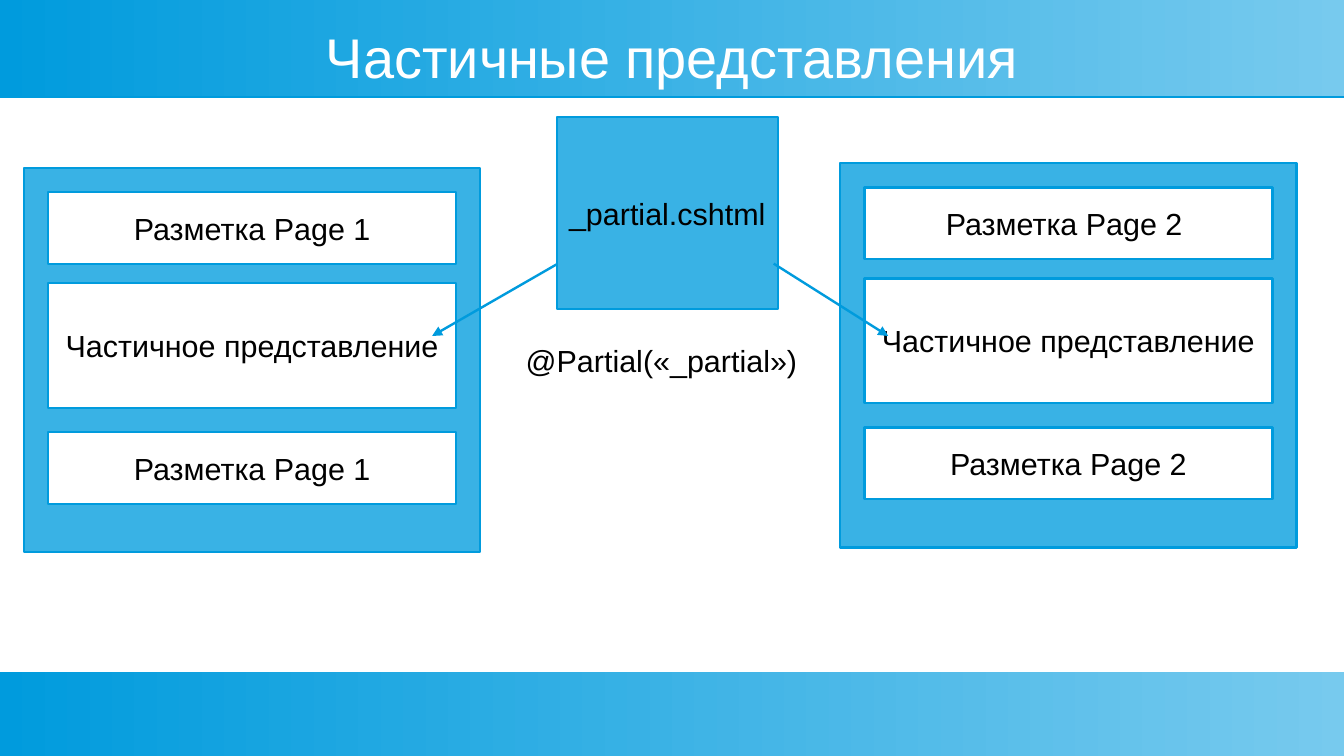
from dataclasses import dataclass

from lxml.etree import SubElement
from pptx import Presentation
from pptx.dml.color import RGBColor as RGB
from pptx.enum.shapes import MSO_CONNECTOR as CONN, MSO_SHAPE as SHAPE
from pptx.enum.text import MSO_ANCHOR as ANCHOR, MSO_AUTO_SIZE as AUTO, PP_ALIGN as ALIGN
from pptx.oxml.ns import qn
from pptx.util import Pt


@dataclass(frozen=True)
class Theme:
    font: str = "Arial"
    title_size: int = 33
    body_size: int = 18
    line_width: float = 1.42
    accent: RGB = RGB(0x00, 0x9B, 0xDD)
    panel: RGB = RGB(0x39, 0xB2, 0xE5)
    light: RGB = RGB(0x77, 0xCA, 0xEE)
    white: RGB = RGB(0xFF, 0xFF, 0xFF)
    black: RGB = RGB(0x00, 0x00, 0x00)


theme = Theme()


def write(tf, text, size, color, align):
    tf.text = text
    p = tf.paragraphs[0]
    p.alignment = align
    p.font.name, p.font.size, p.font.color.rgb = theme.font, Pt(size), color


def add_box(left, top, width, height, fill, text=""):
    sp = slide.shapes.add_shape(SHAPE.RECTANGLE, Pt(left), Pt(top), Pt(width), Pt(height))
    sp.shadow.inherit = False
    sp.fill.solid()
    sp.fill.fore_color.rgb = fill
    sp.line.color.rgb, sp.line.width = theme.accent, Pt(theme.line_width)
    if text:
        tf = sp.text_frame
        tf.word_wrap = False
        tf.vertical_anchor = ANCHOR.MIDDLE
        write(tf, text, theme.body_size, theme.black, ALIGN.CENTER)


prs = Presentation()
prs.slide_width, prs.slide_height = Pt(793.44), Pt(446.4)
slide = prs.slides.add_slide(prs.slide_layouts[5])

for top, height in ((0, 56.9), (396.8, 49.6)):
    band = slide.shapes.add_shape(SHAPE.RECTANGLE, 0, Pt(top), prs.slide_width, Pt(height))
    band.line.fill.background()
    band.fill.gradient()
    band.fill.gradient_angle = 180
    for stop, color, position in zip(band.fill.gradient_stops, (theme.light, theme.accent), (0, 1)):
        stop.color.rgb, stop.position = color, position
    band.shadow.inherit = False
    effects = band.element.spPr.find(qn("a:effectLst"))
    shadow = SubElement(effects, qn("a:outerShdw"), dist=str(Pt(0.9)), dir="5400000", rotWithShape="0")
    SubElement(shadow, qn("a:srgbClr"), val=str(theme.accent))

title = slide.shapes.title
band.element.addnext(title.element)
title.left, title.top, title.width, title.height = Pt(28.3), Pt(14.2), Pt(737), Pt(37.6)
tf = title.text_frame
tf.margin_left = tf.margin_top = tf.margin_right = tf.margin_bottom = 0
tf.auto_size, tf.vertical_anchor = AUTO.NONE, ANCHOR.MIDDLE
write(tf, "Частичные представления", theme.title_size, theme.white, ALIGN.CENTER)

pages = (
    (14.2, 99.2, "Разметка Page 1", "Разметка Page 1"),
    (496.1, 96.4, "Разметка Page 2 ", "Разметка Page 2"),
)
for left, top, header, footer in pages:
    add_box(left, top, 269.3, 226.8, theme.panel)
    for offset, height, text in (
        (14.2, 42.5, header),
        (68, 73.7, "Частичное представление"),
        (155.9, 42.5, footer),
    ):
        add_box(left + 14.2, top + offset, 241, height, theme.white, text)

add_box(328.8, 69.1, 130.4, 113.4, theme.panel, "_partial.cshtml")

for x1, y1, x2, y2 in ((328.8, 156, 255.1, 198.4), (456.8, 155.7, 524.4, 198.4)):
    arrow = slide.shapes.add_connector(CONN.STRAIGHT, Pt(x1), Pt(y1), Pt(x2), Pt(y2))
    arrow.line.color.rgb, arrow.line.width = theme.accent, Pt(theme.line_width)
    props = arrow.element.spPr
    SubElement(props.find(qn("a:ln")), qn("a:tailEnd"), type="triangle")
    SubElement(props, qn("a:effectLst"))

call = slide.shapes.add_textbox(Pt(303.3), Pt(198.7), Pt(184.3), Pt(47.5))
call.text_frame.word_wrap = True
write(call.text_frame, "@Partial(«_partial»)", theme.body_size, theme.black, ALIGN.LEFT)

prs.save("out.pptx")
